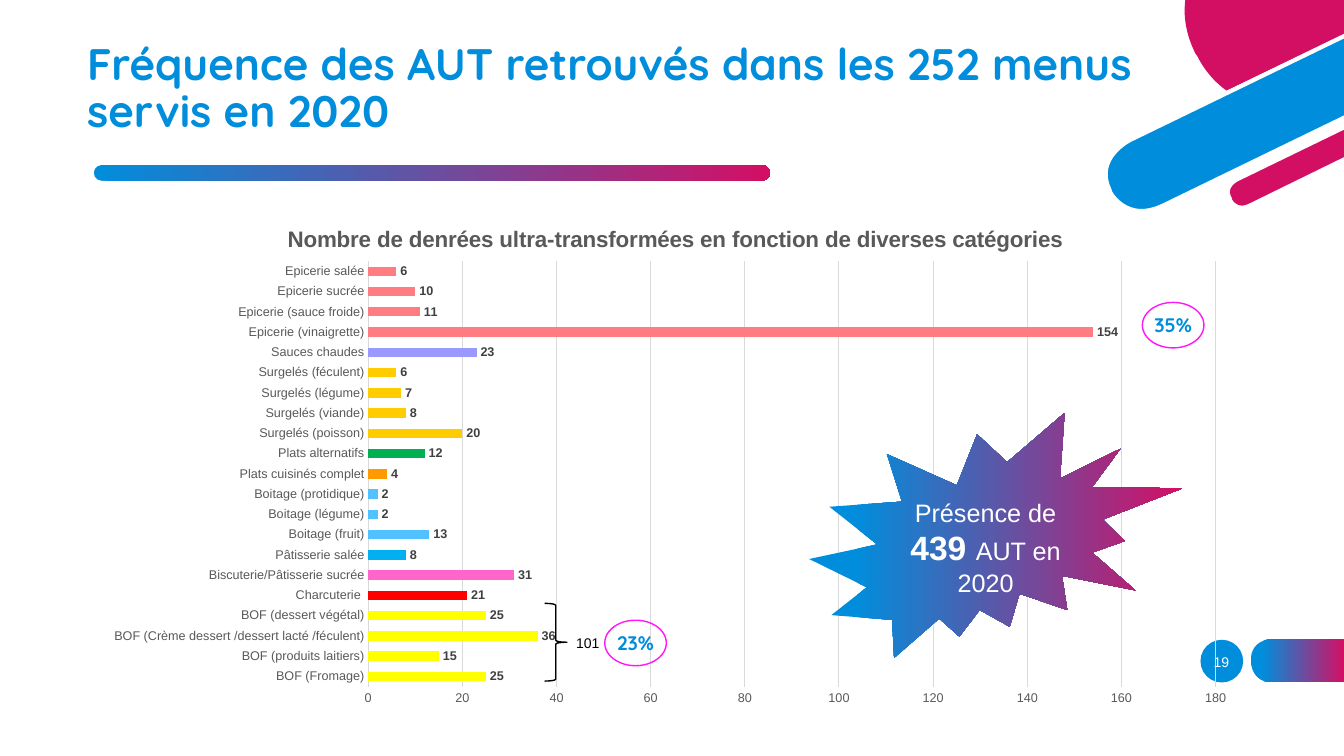
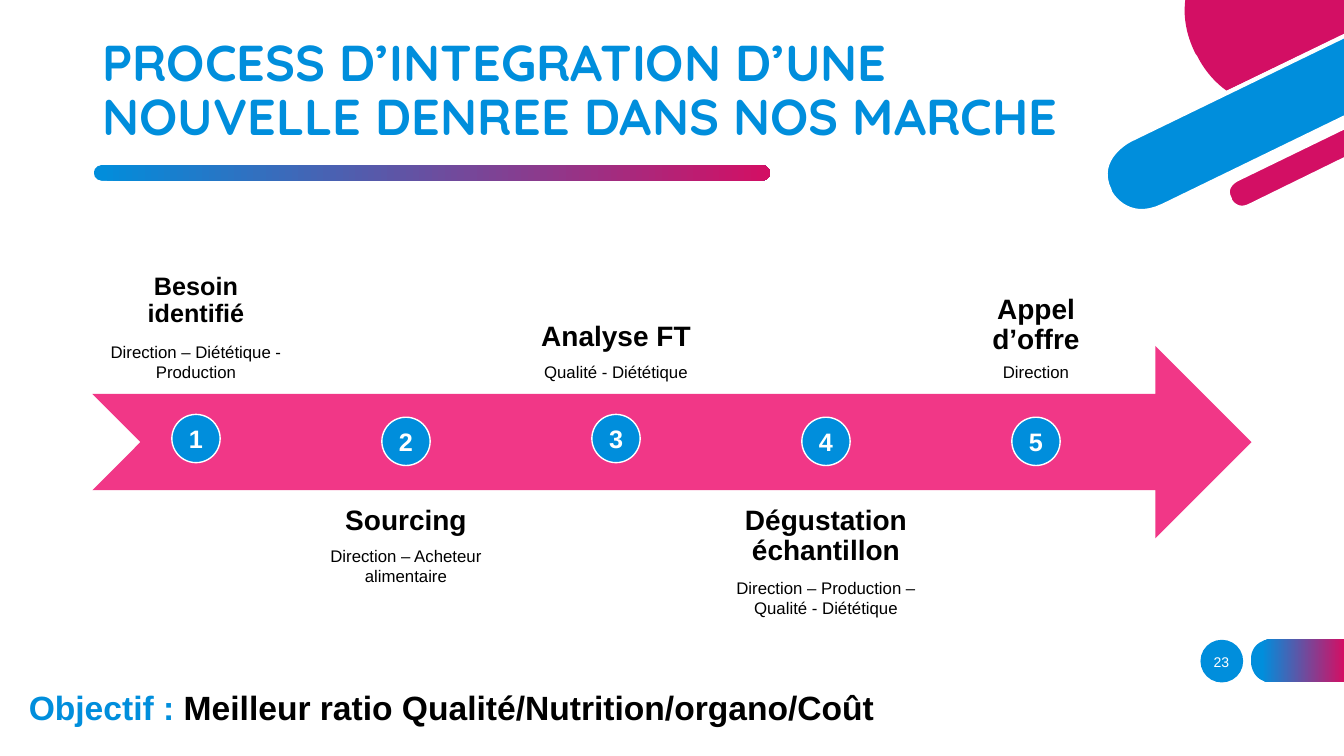
from lxml import etree
from pptx import Presentation
from pptx import util as u
from pptx.chart.data import CategoryChartData
from pptx.dml.color import RGBColor
from pptx.enum import chart as charts, shapes, text
from pptx.oxml.ns import qn

Pt = u.Pt
BLUE = RGBColor(0x00, 0x8E, 0xDC)
CRIMSON = RGBColor(0xD3, 0x0F, 0x64)
PINK = RGBColor(0xF1, 0x37, 0x87)
MAGENTA = RGBColor(0xFF, 0x16, 0xFB)
WHITE = RGBColor(0xFF, 0xFF, 0xFF)
BLACK = RGBColor(0, 0, 0)
GRID_GREY = RGBColor(0xD9, 0xD9, 0xD9)
AXIS_GREY = RGBColor(0x59, 0x59, 0x59)
LABEL_GREY = RGBColor(0x40, 0x40, 0x40)
YELLOW = RGBColor(0xFF, 0xFF, 0x00)
RED = RGBColor(0xFF, 0x00, 0x00)
ROSE = RGBColor(0xFF, 0x66, 0xCC)
CYAN = RGBColor(0x00, 0xB0, 0xF0)
SKY = RGBColor(0x51, 0xC1, 0xFF)
ORANGE = RGBColor(0xFF, 0x99, 0x00)
GREEN = RGBColor(0x00, 0xB0, 0x50)
GOLD = RGBColor(0xFF, 0xCC, 0x00)
LILAC = RGBColor(0x99, 0x99, 0xFF)
CORAL = RGBColor(0xFF, 0x7C, 0x80)

LEFT, CENTER = text.PP_ALIGN.LEFT, text.PP_ALIGN.CENTER
TOP, MIDDLE, BOTTOM = text.MSO_ANCHOR.TOP, text.MSO_ANCHOR.MIDDLE, text.MSO_ANCHOR.BOTTOM
OVAL = shapes.MSO_SHAPE.OVAL
GRADIENT = "gradient"


def write(shape, *runs, size=12, bold=False, color=BLACK, font="Arial", align=LEFT,
          anchor=TOP, spacing=1.0, inset=None, wrap=True):
    """Fill a shape with one paragraph; a run is a text or (text, own format)."""
    frame = shape.text_frame
    frame.auto_size = text.MSO_AUTO_SIZE.NONE
    frame.word_wrap = wrap
    frame.vertical_anchor = anchor
    if inset is not None:
        frame.margin_left = frame.margin_right = Pt(inset)
        frame.margin_top = frame.margin_bottom = Pt(inset)
    paragraph = frame.paragraphs[0]
    paragraph.alignment = align
    paragraph.line_spacing = spacing
    for item in runs:
        words, own = (item, {}) if isinstance(item, str) else item
        run = paragraph.add_run()
        run.text = words
        run.font.name = font
        run.font.size = Pt(own.get("size", size))
        run.font.bold = own.get("bold", bold)
        run.font.color.rgb = own.get("color", color)


def paint(shape, fill=None, line=None, width=1, first_stop=0.12):
    """Set fill (colour, GRADIENT or None) and line, without shadow."""
    shape.shadow.inherit = False
    if fill == GRADIENT:
        shape.fill.gradient()
        shape.fill.gradient_angle = 0
        for stop, color, position in zip(shape.fill.gradient_stops, (BLUE, CRIMSON),
                                         (first_stop, 1)):
            stop.color.rgb = color
            stop.position = position
    elif fill is None:
        shape.fill.background()
    else:
        shape.fill.solid()
        shape.fill.fore_color.rgb = fill
    if line is None:
        shape.line.fill.background()
    else:
        shape.line.color.rgb = line
        shape.line.width = Pt(width)


presentation = Presentation()
presentation.slide_width, presentation.slide_height = Pt(960), Pt(540)
layout = presentation.slide_layouts[5]
for placeholder in list(layout.placeholders)[1:]:
    placeholder._element.getparent().remove(placeholder._element)

# Titles and page numbers
slides = []
for words, page, left, top, width, size in (
        ("Fréquence des AUT retrouvés dans les 252 menus servis en 2020",
         "19", 55, 27, 828, 31.5),
        ("PROCESS D’INTEGRATION D’UNE NOUVELLE DENREE DANS NOS MARCHE",
         "23", 66, 29, 713, 36)):
    slide = presentation.slides.add_slide(layout)
    title = slide.shapes.title
    title.left, title.top, title.width, title.height = Pt(left), Pt(top), Pt(width), Pt(74)
    write(title, words, size=size, bold=True, color=BLUE, font="Quicksand",
          anchor=MIDDLE, spacing=0.9)
    slides.append((slide, page))

# Shared decoration: drawn once, then moved to the layout.
# An outline holds points (x, y) and cubic curves (x1, y1, x2, y2, x, y).
slide = slides[0][0]
outlines = (
    (CRIMSON, None, [(855.4, 40.3), (855.4, 40.3, 861.8, 54.7, 876.2, 64.8), (960, 24.5),
                     (960, 0), (846.7, 0), (845.3, 10.8, 846.7, 23.8, 853.9, 38.2)]),
    (BLUE, WHITE, [(807.1, 100.1), (807.1, 100.1, 781.2, 113, 792.7, 136.1), (792.7, 136.8),
                   (792.7, 136.8, 804.2, 159.8, 830.9, 146.9), (962, 83.2), (962, 24.9)]),
    (CRIMSON, WHITE, [(962, 90), (883.4, 128.2), (883.4, 128.2, 873.4, 133.2, 878.4, 141.8),
                      (878.4, 142.6), (878.4, 142.6, 882.7, 151.9, 892.8, 146.9),
                      (962, 113)]),
    (GRADIENT, None, [(908.6, 487.4), (960, 487.4), (960, 456.5), (908.6, 456.5),
                      (908.6, 456.5, 893.5, 456.5, 893.5, 471.6), (893.5, 472.3),
                      (893.5, 472.3, 893.5, 487.4, 908.6, 487.4)]),
)
CURVE_STEPS = 16
for fill, line, segments in outlines:
    points = [segments[0]]
    for segment in segments[1:]:
        if len(segment) == 2:
            points.append(segment)
            continue
        x0, y0 = points[-1]
        x1, y1, x2, y2, x3, y3 = segment
        for step in range(1, CURVE_STEPS + 1):
            t = step / CURVE_STEPS
            a, b, c, d = (1 - t) ** 3, 3 * t * (1 - t) ** 2, 3 * t * t * (1 - t), t ** 3
            points.append((a * x0 + b * x1 + c * x2 + d * x3,
                           a * y0 + b * y1 + c * y2 + d * y3))
    points = [(Pt(x), Pt(y)) for x, y in points]
    builder = slide.shapes.build_freeform(*points[0])
    builder.add_line_segments(points[1:], close=True)
    paint(builder.convert_to_shape(), fill, line, 3)

disc = slide.shapes.add_shape(OVAL, Pt(857.5), Pt(457), Pt(30.5), Pt(30.5))
paint(disc, BLUE)
title_bar = slide.shapes.add_shape(shapes.MSO_SHAPE.ROUNDED_RECTANGLE,
                                   Pt(67), Pt(118), Pt(483), Pt(11))
title_bar.adjustments[0] = 0.5
paint(title_bar, GRADIENT, first_stop=0)
for shape in list(slide.shapes)[1:]:
    layout.shapes._spTree.append(shape._element)

for slide, page in slides:
    box = slide.shapes.add_textbox(Pt(851), Pt(458), Pt(43), Pt(29))
    write(box, page, size=10, color=WHITE, align=CENTER, anchor=MIDDLE)

# Slide 1: bar chart
slide = slides[0][0]
foods = (
    ("BOF (Fromage)", 25, YELLOW),
    ("BOF (produits laitiers)", 15, YELLOW),
    ("BOF (Crème dessert /dessert lacté /féculent)", 36, YELLOW),
    ("BOF (dessert végétal)", 25, YELLOW),
    ("Charcuterie ", 21, RED),
    ("Biscuterie/Pâtisserie sucrée", 31, ROSE),
    ("Pâtisserie salée", 8, CYAN),
    ("Boitage (fruit)", 13, SKY),
    ("Boitage (légume)", 2, SKY),
    ("Boitage (protidique)", 2, SKY),
    ("Plats cuisinés complet", 4, ORANGE),
    ("Plats alternatifs", 12, GREEN),
    ("Surgelés (poisson)", 20, GOLD),
    ("Surgelés (viande)", 8, GOLD),
    ("Surgelés (légume)", 7, GOLD),
    ("Surgelés (féculent)", 6, GOLD),
    ("Sauces chaudes", 23, LILAC),
    ("Epicerie (vinaigrette)", 154, CORAL),
    ("Epicerie (sauce froide)", 11, CORAL),
    ("Epicerie sucrée", 10, CORAL),
    ("Epicerie salée", 6, CORAL),
)
data = CategoryChartData()
data.categories = [name for name, _, _ in foods]
data.add_series("Series 1", [value for _, value, _ in foods])
chart = slide.shapes.add_chart(charts.XL_CHART_TYPE.BAR_CLUSTERED, Pt(66), Pt(144),
                               Pt(828), Pt(367), data).chart
chart.has_legend = False
chart.font.name, chart.font.size = "Arial", Pt(10)
chart.font.color.rgb = BLACK
chart.has_title = True
chart_title = chart.chart_title.text_frame
chart_title.text = "Nombre de denrées ultra-transformées en fonction de diverses catégories"
title_font = chart_title.paragraphs[0].runs[0].font
title_font.name, title_font.size, title_font.bold = "Arial", Pt(16), True
title_font.color.rgb = AXIS_GREY

category_axis, value_axis = chart.category_axis, chart.value_axis
for axis in (category_axis, value_axis):
    axis.major_tick_mark = axis.minor_tick_mark = charts.XL_TICK_MARK.NONE
    axis.tick_labels.font.name, axis.tick_labels.font.size = "Arial", Pt(9)
    axis.tick_labels.font.color.rgb = AXIS_GREY
category_axis.format.line.color.rgb = GRID_GREY
category_axis.format.line.width = Pt(1)
value_axis.format.line.fill.background()
value_axis.minimum_scale, value_axis.maximum_scale, value_axis.major_unit = 0, 180, 20
value_axis.major_gridlines.format.line.color.rgb = GRID_GREY
value_axis.major_gridlines.format.line.width = Pt(0.75)

plot = chart.plots[0]
plot.gap_width, plot.overlap, plot.vary_by_categories = 115, -20, False
plot.has_data_labels = True
labels = plot.data_labels
labels.show_value = True
labels.position = charts.XL_LABEL_POSITION.OUTSIDE_END
labels.font.name, labels.font.size, labels.font.bold = "Arial", Pt(9), True
labels.font.color.rgb = LABEL_GREY
for index, (_, _, color) in enumerate(foods):
    point_fill = plot.series[0].points[index].format.fill
    point_fill.solid()
    point_fill.fore_color.rgb = color

# Manual places, as fractions of the chart area
plot_area = chart._chartSpace.chart.plotArea
for parent, settings in (
        (plot_area, {"layoutTarget": "inner", "xMode": "edge", "yMode": "edge",
                     "x": 0.238, "y": 0.116, "w": 0.731, "h": 0.828}),
        (chart.chart_title._element, {"xMode": "edge", "yMode": "edge",
                                      "x": 0.165, "y": 0.038})):
    place = parent.find(qn("c:layout"))
    if place is None:
        place = etree.Element(qn("c:layout"))
        parent.insert(0, place)
    manual = etree.SubElement(place, qn("c:manualLayout"))
    for name, value in settings.items():
        etree.SubElement(manual, qn("c:" + name)).set("val", str(value))

# Slide 1: callouts
seal = slide.shapes.add_shape(shapes.MSO_SHAPE.EXPLOSION2, Pt(578), Pt(295), Pt(266.5), Pt(175))
paint(seal, GRADIENT)
box = slide.shapes.add_textbox(Pt(628), Pt(351.5), Pt(152), Pt(80))
write(box, "Présence de ", ("439 ", {"size": 24, "bold": True}), "AUT en 2020",
      size=18, color=WHITE, align=CENTER)
for share, left, top in (("35%", 816, 216), ("23%", 432, 443)):
    ring = slide.shapes.add_shape(OVAL, Pt(left), Pt(top), Pt(44), Pt(32.5))
    paint(ring, line=MAGENTA)
    write(ring, share, size=14, bold=True, color=BLUE, font="Quicksand", align=CENTER,
          anchor=MIDDLE, inset=0, wrap=False)
brace = slide.shapes.add_shape(shapes.MSO_SHAPE.RIGHT_BRACE, Pt(389), Pt(431), Pt(16), Pt(55.5))
paint(brace, line=BLACK)
box = slide.shapes.add_textbox(Pt(404.5), Pt(449.5), Pt(35), Pt(19))
write(box, "101", size=10)

# Slide 2: process arrow
slide = slides[1][0]
arrow = slide.shapes.add_shape(shapes.MSO_SHAPE.NOTCHED_RIGHT_ARROW,
                               Pt(66), Pt(247), Pt(828), Pt(137.5))
paint(arrow, PINK)
HEADING_WIDTH, HEADING_HEIGHT, ROLE_WIDTH, DISC = 120, 60, 171, 34.5
steps = (  # heading, size, anchor, heading top, roles, roles top, disc top
    ("Besoin identifié", 18, BOTTOM, 174.5, "Direction – Diététique - Production", 240.5, 296),
    ("Sourcing", 20, TOP, 361.5, "Direction – Acheteur alimentaire", 386.5, 298),
    ("Analyse FT", 20, BOTTOM, 192, "Qualité - Diététique", 255, 296),
    ("Dégustation échantillon", 20, TOP, 361.5,
     "Direction – Production – Qualité - Diététique", 409, 298),
    ("Appel d’offre", 20, BOTTOM, 194, "Direction", 255, 298),
)
for index, (heading, size, anchor, top, roles, roles_top, disc_top) in enumerate(steps):
    middle = 140 + 150 * index
    box = slide.shapes.add_textbox(Pt(middle - HEADING_WIDTH / 2), Pt(top),
                                   Pt(HEADING_WIDTH), Pt(HEADING_HEIGHT))
    write(box, heading, size=size, bold=True, align=CENTER, anchor=anchor,
          spacing=0.9, inset=0)
    box = slide.shapes.add_textbox(Pt(middle - ROLE_WIDTH / 2), Pt(roles_top),
                                   Pt(ROLE_WIDTH), Pt(36))
    write(box, roles, align=CENTER)
    disc = slide.shapes.add_shape(OVAL, Pt(middle - DISC / 2), Pt(disc_top), Pt(DISC), Pt(DISC))
    paint(disc, BLUE, WHITE)
    write(disc, str(index + 1), size=18, bold=True, color=WHITE, align=CENTER,
          anchor=MIDDLE, inset=0)

box = slide.shapes.add_textbox(Pt(13.5), Pt(487), Pt(665), Pt(36))
write(box, ("Objectif : ", {"color": BLUE}), "Meilleur ratio Qualité/Nutrition/organo/Coût",
      size=24, bold=True)

presentation.save("out.pptx")
